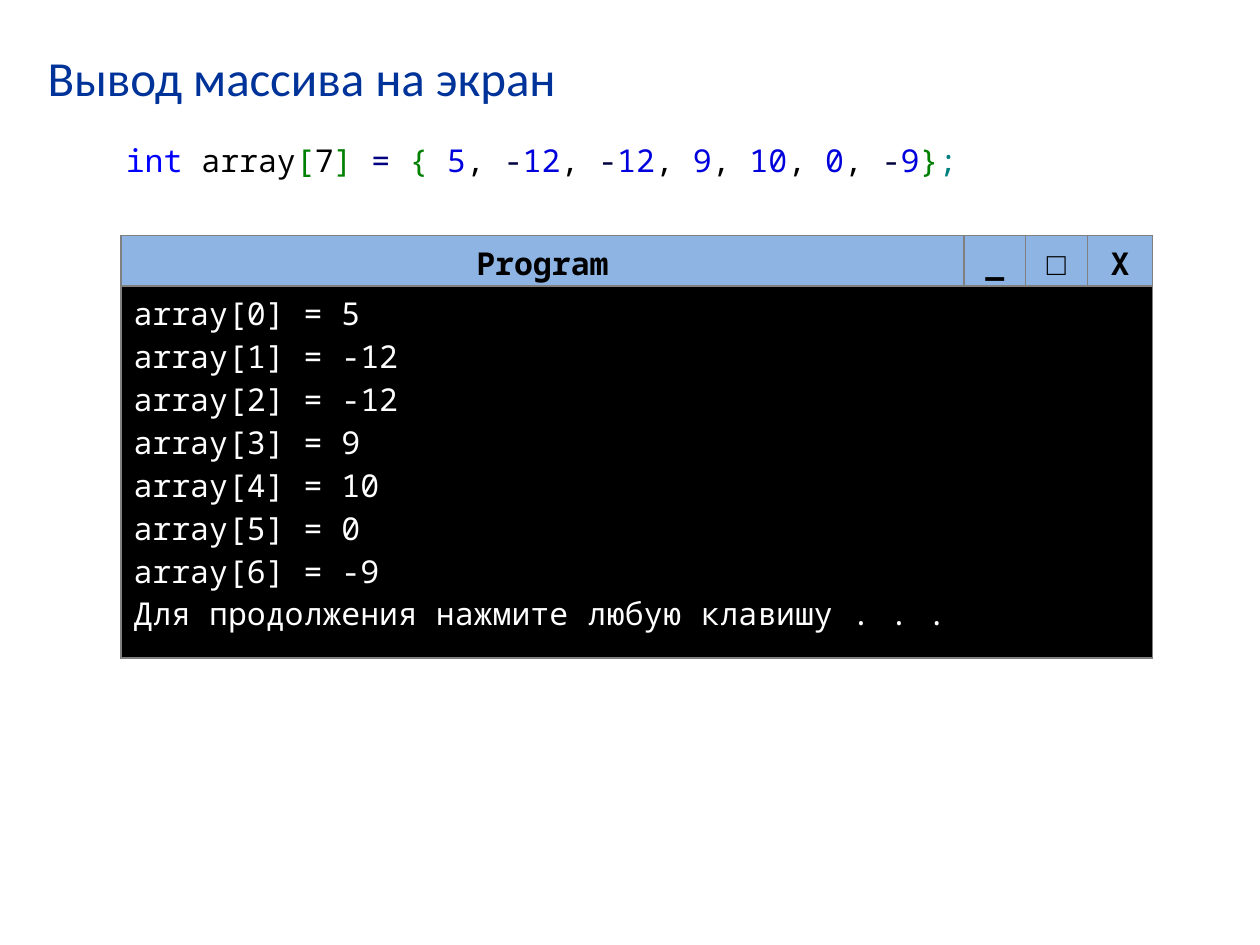
from dataclasses import dataclass

from lxml import etree
from pptx import Presentation, util as u
from pptx.dml.color import RGBColor
from pptx.enum import text as t
from pptx.oxml import ns

HUE = {
    "title": "003399", "type": "0000FF", "name": "000000", "brace": "008000",
    "equal": "000080", "num": "0000DD", "minus": "000040", "end": "008080",
    "bar": "8EB4E3", "screen": "000000", "out": "FFFFFF", "edge": "808080",
}
MONO = "Noto Sans Mono"
DATA = [5, -12, -12, 9, 10, 0, -9]


@dataclass
class Run:
    text: str
    hue: str
    font: str = MONO
    size: int = 18
    bold: bool = False


def add_runs(para, runs: list[Run]) -> None:
    for item in runs:
        run = para.add_run()
        run.text = item.text
        font = run.font
        font.name, font.size, font.bold = item.font, u.Pt(item.size), item.bold
        font.color.rgb = RGBColor.from_string(HUE[item.hue])


def add_text(x: float, y: float, w: float, h: float, runs: list[Run],
             top: float = 0.05) -> None:
    box = slide.shapes.add_textbox(*map(u.Inches, (x, y, w, h)))
    frame = box.text_frame
    frame.word_wrap = True
    frame.margin_top = u.Inches(top)
    add_runs(frame.paragraphs[0], runs)


def style_cell(cell, fill: str) -> None:
    props = cell._tc.get_or_add_tcPr()
    for side in ("lnL", "lnR", "lnT", "lnB"):
        line = etree.SubElement(props, ns.qn(f"a:{side}"), w=str(u.Pt(1)))
        solid = etree.SubElement(line, ns.qn("a:solidFill"))
        etree.SubElement(solid, ns.qn("a:srgbClr"), val=HUE["edge"])
    cell.fill.solid()
    cell.fill.fore_color.rgb = RGBColor.from_string(HUE[fill])


def number_runs(value: int) -> list[Run]:
    sign = [Run("-", "minus")] if value < 0 else []
    return sign + [Run(str(abs(value)), "num")]


deck = Presentation()
deck.slide_width, deck.slide_height = u.Inches(10), u.Inches(7.5)
slide = deck.slides.add_slide(deck.slide_layouts[6])

# Title
add_text(0.28, 0.3, 9.45, 0.93,
         [Run("Вывод массива на экран", "title", "Calibri", 28)], top=0.08)

# Array declaration
code = [Run("int ", "type"), Run("array", "name"), Run("[", "brace"),
        Run(str(len(DATA)), "name"), Run("] ", "brace"),
        Run("= ", "equal"), Run("{ ", "brace")]
for pos, value in enumerate(DATA):
    if pos:
        code.append(Run(", ", "name"))
    code += number_runs(value)
code += [Run("}", "brace"), Run(";", "end")]
add_text(0.9, 1.07, 8.2, 0.4, code)

# Program window
cols, rows = [6.69, 0.49, 0.49, 0.52], [0.35, 2.95]
frame = slide.shapes.add_table(len(rows), len(cols), u.Inches(0.96), u.Inches(1.87),
                               u.Inches(sum(cols)), u.Inches(sum(rows)))
grid = frame.table
for col, width in zip(grid.columns, cols):
    col.width = u.Inches(width)
for row, height, fill in zip(grid.rows, rows, ("bar", "screen")):
    row.height = u.Inches(height)
    for cell in row.cells:
        style_cell(cell, fill)

# Window bar
for pos, label in enumerate(["Program", "_", "□", "X"]):
    cell = grid.cell(0, pos)
    if pos:
        cell.vertical_anchor = t.MSO_ANCHOR.MIDDLE
    para = cell.text_frame.paragraphs[0]
    para.alignment = t.PP_ALIGN.CENTER
    add_runs(para, [Run(label, "name", bold=True)])

# Screen output
screen = grid.cell(1, 0)
screen.merge(grid.cell(1, len(cols) - 1))
lines = [f"array[{pos}] = {value}" for pos, value in enumerate(DATA)]
lines.append("Для продолжения нажмите любую клавишу . . .")
body = screen.text_frame
for pos, line in enumerate(lines):
    para = body.add_paragraph() if pos else body.paragraphs[0]
    add_runs(para, [Run(line, "out")])

deck.save("out.pptx")
